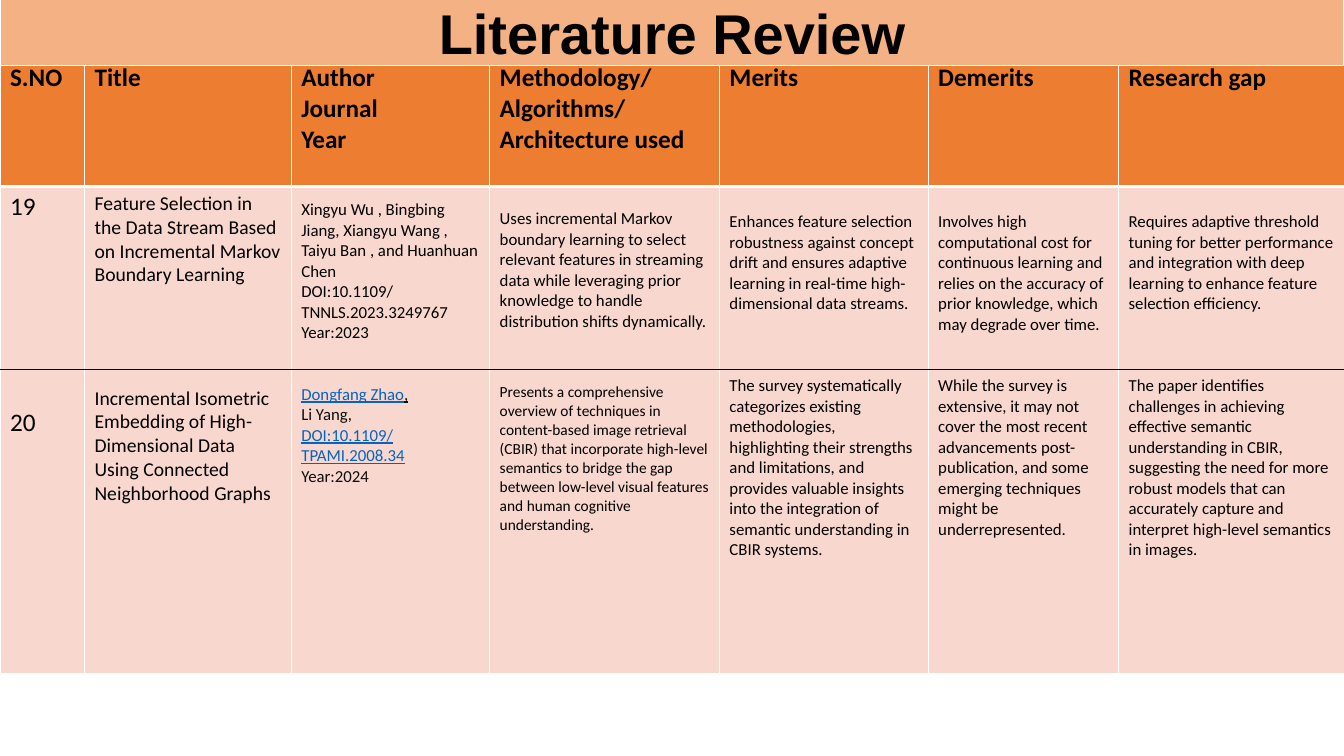
from dataclasses import dataclass

from lxml import etree
from pptx import Presentation
from pptx.dml.color import RGBColor
from pptx.enum import shapes, text
from pptx.oxml import ns
from pptx.util import Cm, Pt


@dataclass(frozen=True)
class Theme:
    black: str = "000000"
    ink: str = "0D0D0D"
    link: str = "0563C1"
    white: str = "FFFFFF"
    banner: str = "F4B183"
    header: str = "ED7D31"
    body: str = "F8D7CE"
    title_font: str = "Arial"
    table_font: str = "Calibri"
    title_size: int = 40
    header_size: int = 18
    paper_size: int = 14
    note_size: int = 12
    small_size: int = 11


@dataclass(frozen=True)
class Entry:
    """A paragraph; a tuple of words holds (text, colour, underlined) spans."""
    words: str | tuple
    size: int = Theme.note_size
    before: float = 0
    color: str = Theme.black
    underline: bool = False


@dataclass(frozen=True)
class Column:
    width: float
    heading: tuple
    top_margin: float
    entries: tuple


THEME = Theme()

COLUMNS = (
    Column(2.13, ("S.NO",), 0.13, (
        Entry("19", THEME.header_size),
        Entry("20", THEME.header_size, 132))),
    Column(5.21, ("Title",), 0.13, (
        Entry("Feature Selection in the Data Stream Based on Incremental Markov "
              "Boundary Learning", THEME.paper_size),
        Entry("Incremental Isometric Embedding of High-Dimensional Data Using "
              "Connected Neighborhood Graphs", THEME.paper_size, 71))),
    Column(5.0, ("Author", "Journal", "Year"), 0.34, (
        Entry("Xingyu Wu , Bingbing Jiang, Xiangyu Wang , Taiyu Ban , and Huanhuan Chen"),
        Entry("DOI:10.1109/TNNLS.2023.3249767"),
        Entry("Year:2023"),
        Entry((("Dongfang Zhao", THEME.link, True), (",", THEME.ink, True),
               ("\vLi Yang,", THEME.ink, False)), before=29.3),
        Entry("DOI:10.1109/TPAMI.2008.34", color=THEME.link, underline=True),
        Entry("Year:2024", color=THEME.ink))),
    Column(5.79, ("Methodology/Algorithms/Architecture used",), 0.56, (
        Entry("Uses incremental Markov boundary learning to select relevant features "
              "in streaming data while leveraging prior knowledge to handle "
              "distribution shifts dynamically."),
        Entry("Presents a comprehensive overview of techniques in content-based image "
              "retrieval (CBIR) that incorporate high-level semantics to bridge the gap "
              "between low-level visual features and human cognitive understanding.",
              THEME.small_size, 36.6))),
    Column(5.26, ("Merits",), 0.64, (
        Entry("Enhances feature selection robustness against concept drift and ensures "
              "adaptive learning in real-time high-dimensional data streams."),
        Entry("The survey systematically categorizes existing methodologies, "
              "highlighting their strengths and limitations, and provides valuable "
              "insights into the integration of semantic understanding in CBIR systems.",
              before=44))),
    Column(4.8, ("Demerits",), 0.64, (
        Entry("Involves high computational cost for continuous learning and relies on "
              "the accuracy of prior knowledge, which may degrade over time."),
        Entry("While the survey is extensive, it may not cover the most recent "
              "advancements post-publication, and some emerging techniques might be "
              "underrepresented.", before=29.3))),
    Column(5.71, ("Research gap",), 0.64, (
        Entry("Requires adaptive threshold tuning for better performance and "
              "integration with deep learning to enhance feature selection efficiency."),
        Entry("The paper identifies challenges in achieving effective semantic "
              "understanding in CBIR, suggesting the need for more robust models that "
              "can accurately capture and interpret high-level semantics in images.",
              before=44))),
)


def rgb(color):
    return RGBColor.from_string(color)


def style_font(font, name, size, color, bold=False):
    font.name, font.size, font.bold = name, Pt(size), bold
    font.color.rgb = rgb(color)


def add_borders(cell, bottom_width):
    """Draw white edges; they must precede the fill in the cell's XML."""
    properties = cell._tc.get_or_add_tcPr()
    for index, side in enumerate(("lnL", "lnR", "lnT", "lnB")):
        width = bottom_width if side == "lnB" else 1
        edge = etree.Element(ns.qn(f"a:{side}"), w=str(Pt(width)))
        fill = etree.SubElement(edge, ns.qn("a:solidFill"))
        etree.SubElement(fill, ns.qn("a:srgbClr"), val=THEME.white)
        properties.insert(index, edge)


def fill_cell(cell, entries, fill, bold=False, top_margin=0.13, bottom_width=1):
    cell.fill.solid()
    cell.fill.fore_color.rgb = rgb(fill)
    cell.margin_top = Cm(top_margin)
    add_borders(cell, bottom_width)
    frame = cell.text_frame
    for index, entry in enumerate(entries):
        para = frame.add_paragraph() if index else frame.paragraphs[0]
        style_font(para.font, THEME.table_font, entry.size, entry.color, bold)
        para.font.underline = entry.underline
        para.space_before = Pt(entry.before)
        if isinstance(entry.words, str):
            para.add_run().text = entry.words
            continue
        for words, color, underline in entry.words:
            if words.startswith("\v"):
                para.add_line_break()
            span = para.add_run()
            span.text = words.lstrip("\v")
            span.font.color.rgb = rgb(color)
            span.font.underline = underline


def add_review_table(page, left, top, header_height, body_height):
    width = sum(column.width for column in COLUMNS)
    box = page.shapes.add_table(2, len(COLUMNS), Cm(left), Cm(top), Cm(width),
                                Cm(header_height + body_height))
    table = box.table
    table.horz_banding = False
    table.rows[0].height, table.rows[1].height = Cm(header_height), Cm(body_height)
    for index, column in enumerate(COLUMNS):
        table.columns[index].width = Cm(column.width)
        heading = [Entry(words, THEME.header_size) for words in column.heading]
        fill_cell(table.cell(0, index), heading, THEME.header, bold=True, bottom_width=3)
        fill_cell(table.cell(1, index), column.entries, THEME.body,
                  top_margin=column.top_margin)


def place_title(page, left, top, width, height):
    """Format the title as a banner lying over the table's top edge."""
    title = page.shapes.title
    title.left, title.top, title.width, title.height = map(Cm, (left, top, width, height))
    title.fill.solid()
    title.fill.fore_color.rgb = rgb(THEME.banner)
    title.line.color.rgb = rgb(THEME.white)
    title.line.width = Pt(0.75)
    frame = title.text_frame
    frame.margin_left = frame.margin_top = frame.margin_right = frame.margin_bottom = 0
    frame.vertical_anchor = text.MSO_ANCHOR.MIDDLE
    frame.auto_size = text.MSO_AUTO_SIZE.NONE
    para = frame.paragraphs[0]
    para.alignment = text.PP_ALIGN.CENTER
    para.add_run().text = "Literature Review"
    style_font(para.font, THEME.title_font, THEME.title_size, THEME.black, bold=True)
    page.shapes[-1].element.addnext(title.element)


def add_divider(page, left, top, width):
    line = page.shapes.add_connector(shapes.MSO_CONNECTOR.STRAIGHT, Cm(left), Cm(top),
                                     Cm(left + width), Cm(top))
    line.line.color.rgb = rgb(THEME.black)
    line.line.width = Pt(0.5)
    etree.SubElement(line.element.spPr, ns.qn("a:effectLst"))


def main():
    deck = Presentation()
    width = 33.87
    deck.slide_width, deck.slide_height = Cm(width), Cm(19.05)
    page = deck.slides.add_slide(deck.slide_layouts.get_by_name("Title Only"))
    add_review_table(page, 0, 1.45, 3.25, 12.27)
    place_title(page, 0, -0.05, width, 1.7)
    add_divider(page, 0, 9.3, width)
    deck.save("out.pptx")


if __name__ == "__main__":
    main()
